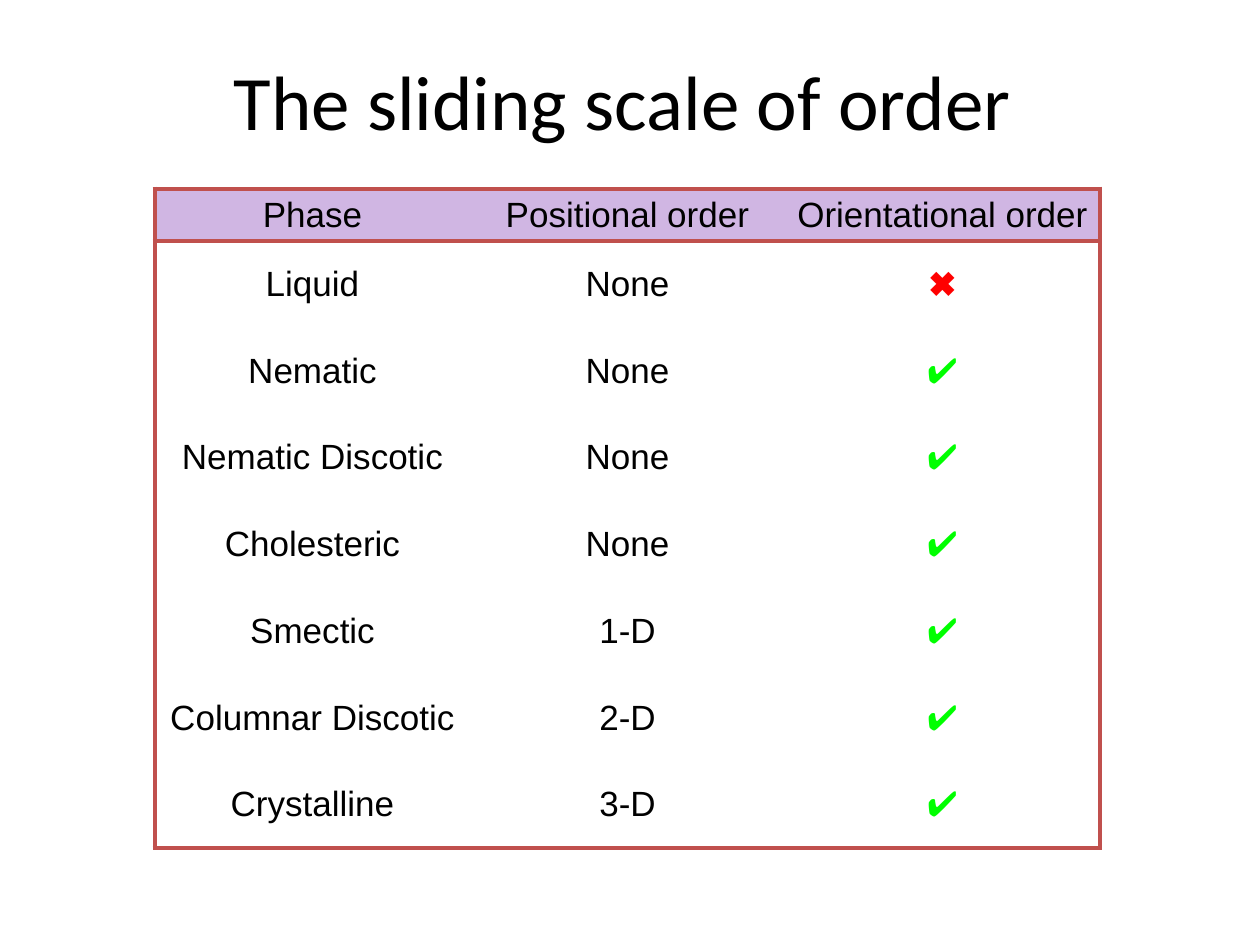
"""Build a slide that ranks liquid crystal phases by their order."""
from dataclasses import dataclass

import lxml.etree
import pptx
import pptx.dml.color
import pptx.enum.text
import pptx.oxml.ns
import pptx.util

RGB = pptx.dml.color.RGBColor
BLACK = RGB(0x00, 0x00, 0x00)
RED = RGB(0xFF, 0x00, 0x00)
GREEN = RGB(0x00, 0xFF, 0x00)
LILAC = RGB(0xD0, 0xB6, 0xE3)
BRICK = RGB(0xC0, 0x50, 0x4D)

SCALE = 914400 / 126
WIDE, HIGH = 1260, 945
LEFT, TOP = 155, 189
COL, HEAD, BODY, INSET = 315, 52, 607, 11


@dataclass(frozen=True)
class Phase:
    name: str
    place: str
    turn: bool = True


HEADS = ("Phase", "Positional order", "Orientational order")
PHASES = (
    Phase("Liquid", "None", False),
    Phase("Nematic", "None"),
    Phase("Nematic Discotic", "None"),
    Phase("Cholesteric", "None"),
    Phase("Smectic", "1-D"),
    Phase("Columnar Discotic", "2-D"),
    Phase("Crystalline", "3-D"),
)


def px(count: int) -> pptx.util.Emu:
    return pptx.util.Emu(round(count * SCALE))


def write(frame, text: str, font: str, size: int, color: RGB) -> None:
    para = frame.paragraphs[0]
    para.alignment = pptx.enum.text.PP_ALIGN.CENTER
    run = para.add_run()
    run.text = text
    run.font.name = font
    run.font.size = pptx.util.Pt(size)
    run.font.color.rgb = color


def edge(cell, side: str, shown: bool) -> None:
    qn = pptx.oxml.ns.qn
    props = cell._tc.get_or_add_tcPr()
    line = lxml.etree.SubElement(props, qn(f"a:ln{side}"))
    if shown:
        line.set("w", str(pptx.util.Pt(3)))
        fill = lxml.etree.SubElement(line, qn("a:solidFill"))
        lxml.etree.SubElement(fill, qn("a:srgbClr"), val=str(BRICK))
    else:
        lxml.etree.SubElement(line, qn("a:noFill"))


def draw_title(slide, text: str) -> None:
    title = slide.shapes.title
    title.left, title.top = px(87), px(21)
    title.width, title.height = px(1071), px(158)
    frame = title.text_frame
    frame.vertical_anchor = pptx.enum.text.MSO_ANCHOR.MIDDLE
    write(frame, text, "Calibri", 44, BLACK)


def draw_table(slide, phases: tuple[Phase, ...]) -> None:
    rows, cols = len(phases) + 1, len(HEADS)
    table = slide.shapes.add_table(
        rows, cols, px(LEFT), px(TOP), px(COL * cols), px(HEAD + BODY)
    ).table
    table.first_row = table.horz_banding = False
    for col in table.columns:
        col.width = px(COL)
    for i, row in enumerate(table.rows):
        row.height = px(BODY) // len(phases) if i else px(HEAD)

    lines = [HEADS] + [(p.name, p.place, "✔" if p.turn else "✖") for p in phases]
    tints = {"✔": GREEN, "✖": RED}
    for i, line in enumerate(lines):
        for j, text in enumerate(line):
            cell = table.cell(i, j)
            cell.vertical_anchor = pptx.enum.text.MSO_ANCHOR.MIDDLE
            cell.margin_left = cell.margin_right = px(INSET)
            edge(cell, "L", j == 0)
            edge(cell, "R", j == cols - 1)
            edge(cell, "T", i < 2)
            edge(cell, "B", i in (0, rows - 1))
            if i == 0:
                cell.fill.solid()
                cell.fill.fore_color.rgb = LILAC
            else:
                cell.fill.background()
            write(cell.text_frame, text, "Arial", 20, tints.get(text, BLACK))


def main() -> None:
    deck = pptx.Presentation()
    deck.slide_width, deck.slide_height = px(WIDE), px(HIGH)
    slide = deck.slides.add_slide(deck.slide_layouts.get_by_name("Title Only"))
    draw_title(slide, "The sliding scale of order")
    draw_table(slide, PHASES)
    deck.save("out.pptx")


if __name__ == "__main__":
    main()
